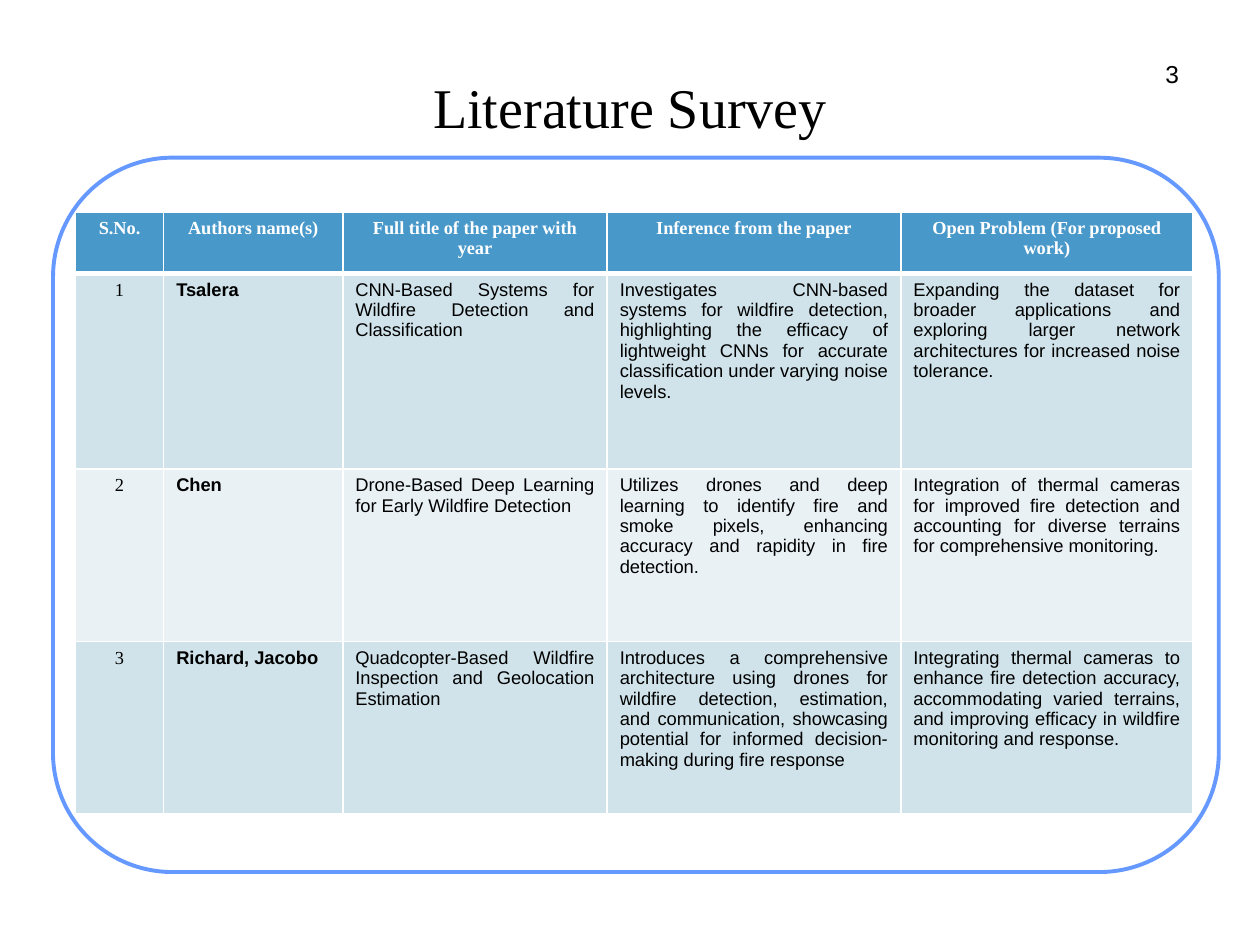
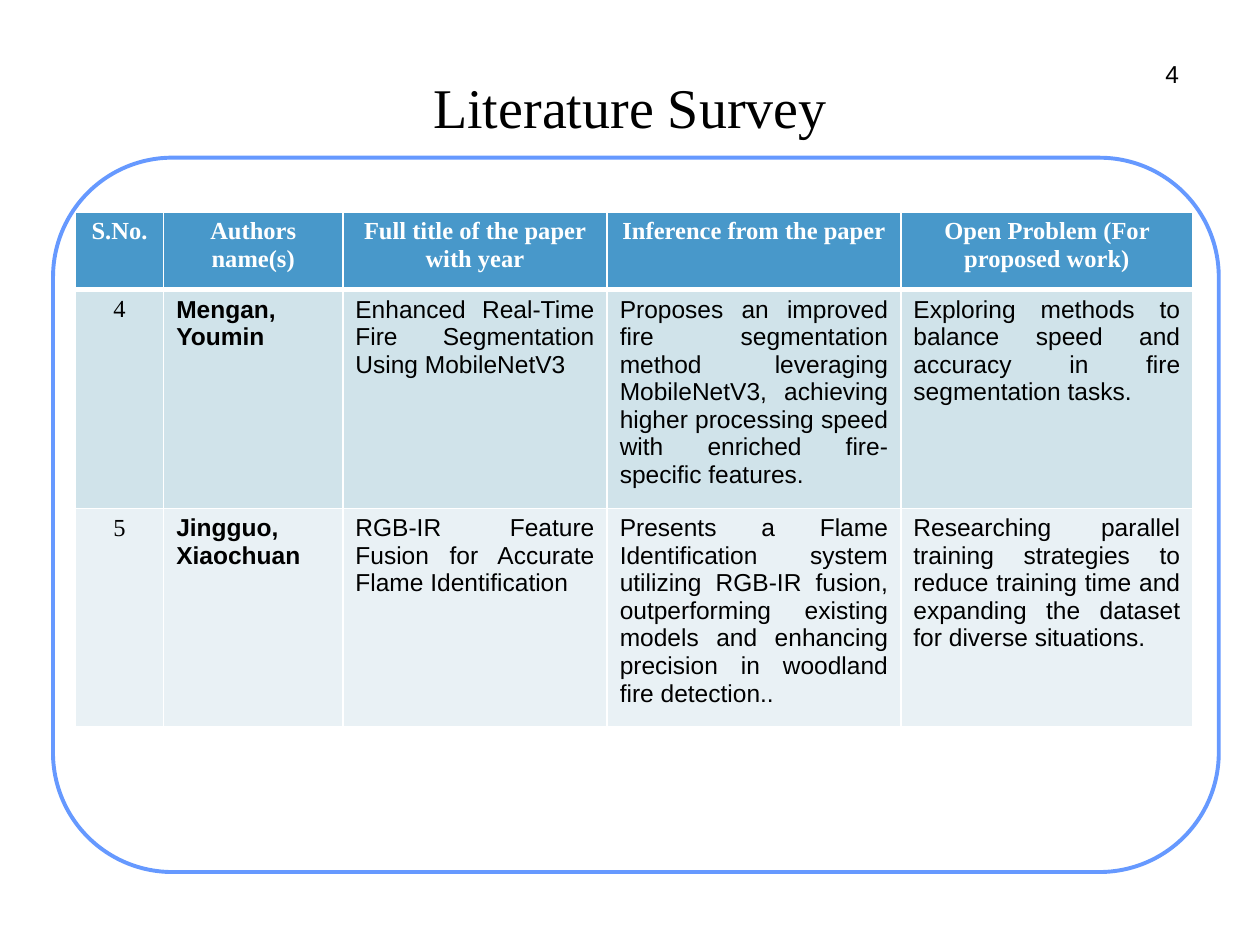
from lxml import etree
from pptx import Presentation
from pptx.dml.color import RGBColor
from pptx.enum.shapes import MSO_SHAPE
from pptx.enum.text import MSO_ANCHOR, PP_ALIGN
from pptx.oxml.ns import qn
from pptx.util import Cm, Pt

ROUNDED = MSO_SHAPE.ROUNDED_RECTANGLE
MIDDLE = MSO_ANCHOR.MIDDLE
LEFT, CENTER, RIGHT, JUSTIFY = PP_ALIGN.LEFT, PP_ALIGN.CENTER, PP_ALIGN.RIGHT, PP_ALIGN.JUSTIFY

SERIF, SANS = "Times New Roman", "Arial"
BLACK, WHITE = "000000", "FFFFFF"
FRAME_BLUE, HEADER_BLUE = "6699FF", "4898CA"
BANDS = ("D0E3EA", "E9F1F5")

FRAME_BOX = (1.07, 3.18, 23.5, 14.4)
TITLE_BOX = (3.18, 1.02, 19.05, 2.24)
NUMBER_BOX = (23.34, 1.07, 0.56, 0.81)
TABLE_ORIGIN = (1.52, 4.27)
COLUMN_WIDTHS = (1.78, 3.61, 5.33, 5.92, 5.89)
TEXT_INSET = 0.13

HEADINGS = (
    "S.No.",
    "Authors name(s)",
    "Full title of the paper with year",
    "Inference from the paper",
    "Open Problem (For proposed work)",
)
COLUMN_STYLES = (
    (CENTER, SERIF, False),
    (LEFT, SANS, True),
    (JUSTIFY, SANS, False),
    (JUSTIFY, SANS, False),
    (JUSTIFY, SANS, False),
)

SURVEYS = (
    {
        "number": 3,
        "size": 10.5,
        "row_heights": (1.24, 3.94, 3.48, 3.48),
        "papers": (
            ("1", "Tsalera",
             "CNN-Based Systems for Wildfire Detection and Classification",
             "Investigates CNN-based systems for wildfire detection, highlighting the efficacy of "
             "lightweight CNNs for accurate classification under varying noise levels.",
             "Expanding the dataset for broader applications and exploring larger network "
             "architectures for increased noise tolerance."),
            ("2", "Chen",
             "Drone-Based Deep Learning for Early Wildfire Detection",
             "Utilizes drones and deep learning to identify fire and smoke pixels, enhancing "
             "accuracy and rapidity in fire detection.",
             "Integration of thermal cameras for improved fire detection and accounting for "
             "diverse terrains for comprehensive monitoring."),
            ("3", "Richard, Jacobo",
             "Quadcopter-Based Wildfire Inspection and Geolocation Estimation",
             "Introduces a comprehensive architecture using drones for wildfire detection, "
             "estimation, and communication, showcasing potential for informed decision-making "
             "during fire response",
             "Integrating thermal cameras to enhance fire detection accuracy, accommodating "
             "varied terrains, and improving efficacy in wildfire monitoring and response."),
        ),
    },
    {
        "number": 4,
        "size": 14,
        "row_heights": (1.57, 4.13, 4.13),
        "papers": (
            ("4", "Mengan, Youmin",
             "Enhanced Real-Time Fire Segmentation Using MobileNetV3",
             "Proposes an improved fire segmentation method leveraging MobileNetV3, achieving "
             "higher processing speed with enriched fire-specific features.",
             "Exploring methods to balance speed and accuracy in fire segmentation tasks."),
            ("5", "Jingguo, Xiaochuan",
             "RGB-IR Feature Fusion for Accurate Flame Identification",
             "Presents a Flame Identification system utilizing RGB-IR fusion, outperforming "
             "existing models and enhancing precision in woodland fire detection..",
             "Researching parallel training strategies to reduce training time and expanding "
             "the dataset for diverse situations."),
        ),
    },
)


def paint(color_format, hex_color):
    """Apply a hex colour to a fill, line or font colour."""
    color_format.rgb = RGBColor.from_string(hex_color)


def write(text_frame, text, size, face, align, color=BLACK, bold=False):
    """Write one formatted paragraph."""
    text_frame.text = text
    paragraph = text_frame.paragraphs[0]
    paragraph.alignment = align
    font = paragraph.font
    font.size, font.name, font.bold = Pt(size), face, bold
    paint(font.color, color)


def set_insets(text_frame):
    """Give a text frame the shared narrow margins."""
    text_frame.margin_left = text_frame.margin_right = Cm(TEXT_INSET)
    text_frame.margin_top = text_frame.margin_bottom = Cm(TEXT_INSET)


def add_frame(slide, box):
    """Place the rounded frame behind everything else."""
    frame = slide.shapes.add_shape(ROUNDED, *map(Cm, box))
    frame.shadow.inherit = False
    frame.adjustments[0] = 0.167
    frame.fill.solid()
    paint(frame.fill.fore_color, WHITE)
    paint(frame.line.color, FRAME_BLUE)
    frame.line.width = Pt(2.25)
    slide.shapes.title._element.addprevious(frame._element)


def add_title(slide, box):
    """Fill and place the title placeholder."""
    title = slide.shapes.title
    title.left, title.top, title.width, title.height = map(Cm, box)
    title.text_frame.vertical_anchor = MIDDLE
    set_insets(title.text_frame)
    write(title.text_frame, "Literature Survey", 32, SERIF, CENTER)


def add_page_number(slide, box, number):
    """Write the page number at the top right."""
    page_number = slide.shapes.add_textbox(*map(Cm, box)).text_frame
    page_number.word_wrap = False
    set_insets(page_number)
    write(page_number, str(number), 14, SANS, RIGHT)


def set_borders(cell, top, bottom):
    """Draw white borders, with the given top and bottom widths in points."""
    properties = cell._tc.get_or_add_tcPr()
    for side, width in (("L", 1), ("R", 1), ("T", top), ("B", bottom)):
        line = etree.SubElement(properties, qn(f"a:ln{side}"), w=str(Pt(width)))
        fill = etree.SubElement(line, qn("a:solidFill"))
        etree.SubElement(fill, qn("a:srgbClr"), val=WHITE)


def add_papers_table(slide, origin, row_heights, papers, size):
    """Build the banded table of papers from its top-left corner."""
    box = (*origin, sum(COLUMN_WIDTHS), sum(row_heights))
    table = slide.shapes.add_table(len(row_heights), len(HEADINGS), *map(Cm, box)).table
    table.horz_banding = False
    for column, width in zip(table.columns, COLUMN_WIDTHS):
        column.width = Cm(width)
    for row, height in zip(table.rows, row_heights):
        row.height = Cm(height)
    for r, texts in enumerate((HEADINGS, *papers)):
        is_header = r == 0
        band = HEADER_BLUE if is_header else BANDS[(r - 1) % 2]
        for c, text in enumerate(texts):
            cell = table.cell(r, c)
            set_borders(cell, top=3 if r == 1 else 1, bottom=3 if is_header else 1)
            cell.fill.solid()
            paint(cell.fill.fore_color, band)
            align, face, bold = (CENTER, SERIF, True) if is_header else COLUMN_STYLES[c]
            write(cell.text_frame, text, size, face, align, WHITE if is_header else BLACK, bold)


def add_survey_slide(presentation, survey):
    """Add one literature survey slide."""
    slide = presentation.slides.add_slide(presentation.slide_layouts[5])
    add_frame(slide, FRAME_BOX)
    add_page_number(slide, NUMBER_BOX, survey["number"])
    add_title(slide, TITLE_BOX)
    add_papers_table(slide, TABLE_ORIGIN, survey["row_heights"], survey["papers"], survey["size"])


def main():
    """Build and save the presentation."""
    presentation = Presentation()
    presentation.slide_width, presentation.slide_height = Cm(25.4), Cm(19.05)
    for survey in SURVEYS:
        add_survey_slide(presentation, survey)
    presentation.save("out.pptx")


if __name__ == "__main__":
    main()
